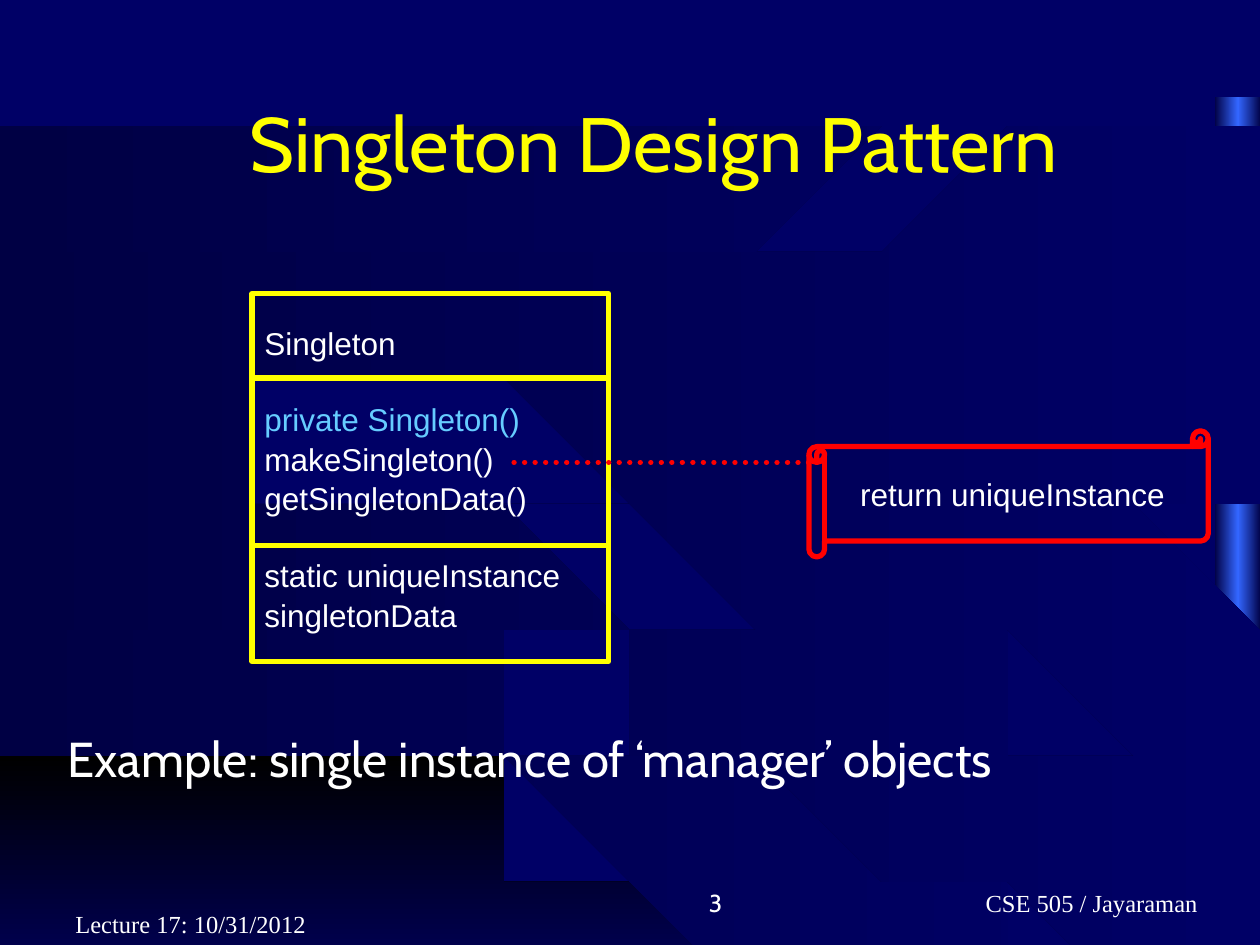
from dataclasses import dataclass
from typing import NamedTuple

from lxml.etree import SubElement
from pptx import Presentation
from pptx.dml.color import RGBColor as Rgb
from pptx.enum.dml import MSO_LINE as Dash
from pptx.enum.shapes import MSO_CONNECTOR as Connector, MSO_SHAPE as Shape
from pptx.enum.text import MSO_ANCHOR as Anchor, PP_ALIGN as Align
from pptx.oxml.ns import qn
from pptx.util import Inches, Pt


@dataclass(frozen=True)
class Theme:
    """Colours, fonts and type sizes of the slide."""
    navy: str = "000066"
    dusk: str = "000044"
    black: str = "000000"
    blue: str = "3366FF"
    sky: str = "66CCFF"
    white: str = "FFFFFF"
    yellow: str = "FFFF00"
    red: str = "FF0000"
    display: str = "Cabin"
    code: str = "Arial"
    footer: str = "Times New Roman"
    title_size: int = 44
    example_size: int = 28
    code_size: int = 18
    footer_size: int = 14
    line_width: int = 3


class Edge(NamedTuple):
    """A curve that leaves the left side level and bends to its end."""
    start: float
    bend: float
    right: float
    end: float

    def points(self, steps=14):
        """Sample the quadratic curve from left to right."""
        left = 0.01
        curve = []
        for step in range(steps + 1):
            t = step / steps
            x = left * (1 - t) ** 2 + 2 * self.bend * t * (1 - t) + self.right * t * t
            curve.append((x, self.start + (self.end - self.start) * t * t))
        return curve


THEME = Theme()
CORNER = (Edge(5.68, 4.05, 6.29, 8.27), Edge(8.27, 3, 6.29, 8.27))
BANDS = [
    (Edge(4.95, 5.8, 8.94, 8.25), Edge(5.54, 4.26, 6.43, 8.25)),
    (Edge(4.21, 6.5, 10.01, 6.37), Edge(4.8, 5.9, 9.1, 8.25), (10.01, 8.25)),
    (Edge(3.46, 5.56, 10.01, 4.56), Edge(4.07, 6.3, 10.01, 6.19)),
    (Edge(2.73, 5, 10.01, 2.73), Edge(3.32, 5.8, 10.01, 4.42)),
    (Edge(2.06, 6.68, 9.44, 0.75), Edge(2.59, 5, 10.01, 2.59), (10.01, 0.75)),
    (Edge(1.39, 3.17, 5.57, 0.75), Edge(1.92, 6.1, 9.18, 0.75)),
    (Edge(0.75, 2.5, 5.02, 0.75), Edge(1.24, 2.9, 5.02, 0.75)),
]


def paint_gradient(shape, colours, clockwise=0):
    """Fill a shape with evenly spaced gradient colours and no outline."""
    shape.shadow.inherit = False
    shape.line.fill.background()
    shape.fill.gradient()
    shape.fill.gradient_angle = -clockwise % 360
    stops = shape.element.spPr.find(".//" + qn("a:gsLst"))
    stops.clear()
    for index, colour in enumerate(colours):
        position = 100000 * index // (len(colours) - 1)
        stop = SubElement(stops, qn("a:gs"), pos=str(position))
        SubElement(stop, qn("a:srgbClr"), val=colour)


def add_band(page, band, colours, clockwise=0):
    """Draw the area between two edges, with any extra right corner."""
    upper, lower, *corners = band
    points = upper.points() + corners + lower.points()[::-1]
    builder = page.shapes.build_freeform(*points[0], scale=Inches(1))
    builder.add_line_segments(points[1:], close=True)
    paint_gradient(builder.convert_to_shape(), colours, clockwise)


def add_backdrop(page):
    """Draw the glowing strip, the dark corner and the curved bands."""
    area = [Inches(value) for value in (9.64, 0.77, 0.37, 7.5)]
    strip = page.shapes.add_shape(Shape.RECTANGLE, *area)
    paint_gradient(strip, [THEME.dusk, THEME.blue, THEME.dusk])
    add_band(page, CORNER, [THEME.black, THEME.navy], 90)
    for band in BANDS:
        add_band(page, band, [THEME.dusk, THEME.navy])


def add_para(frame, text, font, size, colour, align=Align.LEFT, first=True, indent=0):
    """Write one styled paragraph into a text frame."""
    para = frame.paragraphs[0] if first else frame.add_paragraph()
    para.alignment = align
    if indent:
        para._p.get_or_add_pPr().set("marL", str(Inches(indent)))
    span = para.add_run()
    span.text = text
    span.font.name, span.font.size = font, Pt(size)
    span.font.color.rgb = Rgb.from_string(colour)
    return para


def add_label(page, area, text, font, size, colour=THEME.white,
              align=Align.LEFT, anchor=Anchor.BOTTOM, indent=0):
    """Add a text box holding a single paragraph."""
    box = page.shapes.add_textbox(*[Inches(value) for value in area])
    box.text_frame.word_wrap = True
    box.text_frame.vertical_anchor = anchor
    add_para(box.text_frame, text, font, size, colour, align, indent=indent)


def add_outline(page, kind, area, colour):
    """Add an unfilled outlined shape and return its text frame."""
    shape = page.shapes.add_shape(kind, *[Inches(value) for value in area])
    shape.shadow.inherit = False
    shape.fill.background()
    shape.line.color.rgb = Rgb.from_string(colour)
    shape.line.width = Pt(THEME.line_width)
    shape.text_frame.word_wrap = True
    shape.text_frame.vertical_anchor = Anchor.MIDDLE
    return shape.text_frame


def add_rule(page, left, right, top, colour, dotted=False):
    """Add a horizontal line, optionally made of round dots."""
    ends = [Inches(value) for value in (left, top, right, top)]
    rule = page.shapes.add_connector(Connector.STRAIGHT, *ends)
    rule.line.color.rgb = Rgb.from_string(colour)
    rule.line.width = Pt(THEME.line_width)
    properties = rule.element.spPr
    if dotted:
        rule.line.dash_style = Dash.ROUND_DOT
        properties.find(qn("a:ln")).set("cap", "rnd")
    SubElement(properties, qn("a:effectLst"))


def add_class_box(page):
    """Draw the class diagram with its three compartments."""
    sections = [
        [("Singleton", THEME.white)],
        [("private Singleton()", THEME.sky), ("makeSingleton()", THEME.white),
         ("getSingletonData()", THEME.white)],
        [("static uniqueInstance", THEME.white), ("singletonData", THEME.white)],
    ]
    frame = add_outline(page, Shape.RECTANGLE, (2, 2.33, 2.83, 2.92), THEME.yellow)
    for number, section in enumerate(sections):
        for row, (text, colour) in enumerate(section):
            first = number == row == 0
            para = add_para(frame, text, THEME.code, THEME.code_size, colour, first=first)
            para.line_spacing = 1.05
            if row == 0 and not first:
                para.space_before = Pt(21)
    for top in (3, 4.33):
        add_rule(page, 2, 4.83, top, THEME.yellow)


def add_scroll_note(page):
    """Draw the scroll note and its dotted link to the method."""
    add_rule(page, 4.08, 6.42, 3.67, THEME.red, dotted=True)
    frame = add_outline(page, Shape.HORIZONTAL_SCROLL, (6.42, 3.42, 3.17, 1), THEME.red)
    add_para(frame, "return uniqueInstance", THEME.code, THEME.code_size,
             THEME.white, Align.CENTER)


def main():
    """Build the slide and save it."""
    deck = Presentation()
    deck.slide_width, deck.slide_height = Inches(10), Inches(7.5)
    page = deck.slides.add_slide(deck.slide_layouts[6])
    page.background.fill.solid()
    page.background.fill.fore_color.rgb = Rgb.from_string(THEME.navy)
    add_backdrop(page)
    add_label(page, (6.58, 6.83, 3.17, 0.5), "CSE 505 / Jayaraman", THEME.footer,
              THEME.footer_size, align=Align.CENTER, indent=1)
    add_label(page, (3.75, 6.83, 2.08, 0.5), "3", THEME.display,
              THEME.footer_size, align=Align.RIGHT)
    add_label(page, (0.5, 0.5, 9, 1.25), "Singleton Design Pattern", THEME.display,
              THEME.title_size, THEME.yellow, Align.CENTER, Anchor.MIDDLE, 0.38)
    add_class_box(page)
    add_scroll_note(page)
    add_label(page, (0.44, 5.73, 8.45, 0.57), "Example: single instance of ‘manager’ objects",
              THEME.display, THEME.example_size, anchor=Anchor.TOP)
    add_label(page, (0.5, 7, 2.08, 0.5), "Lecture 17: 10/31/2012", THEME.footer,
              THEME.footer_size)
    deck.save("out.pptx")


if __name__ == "__main__":
    main()
